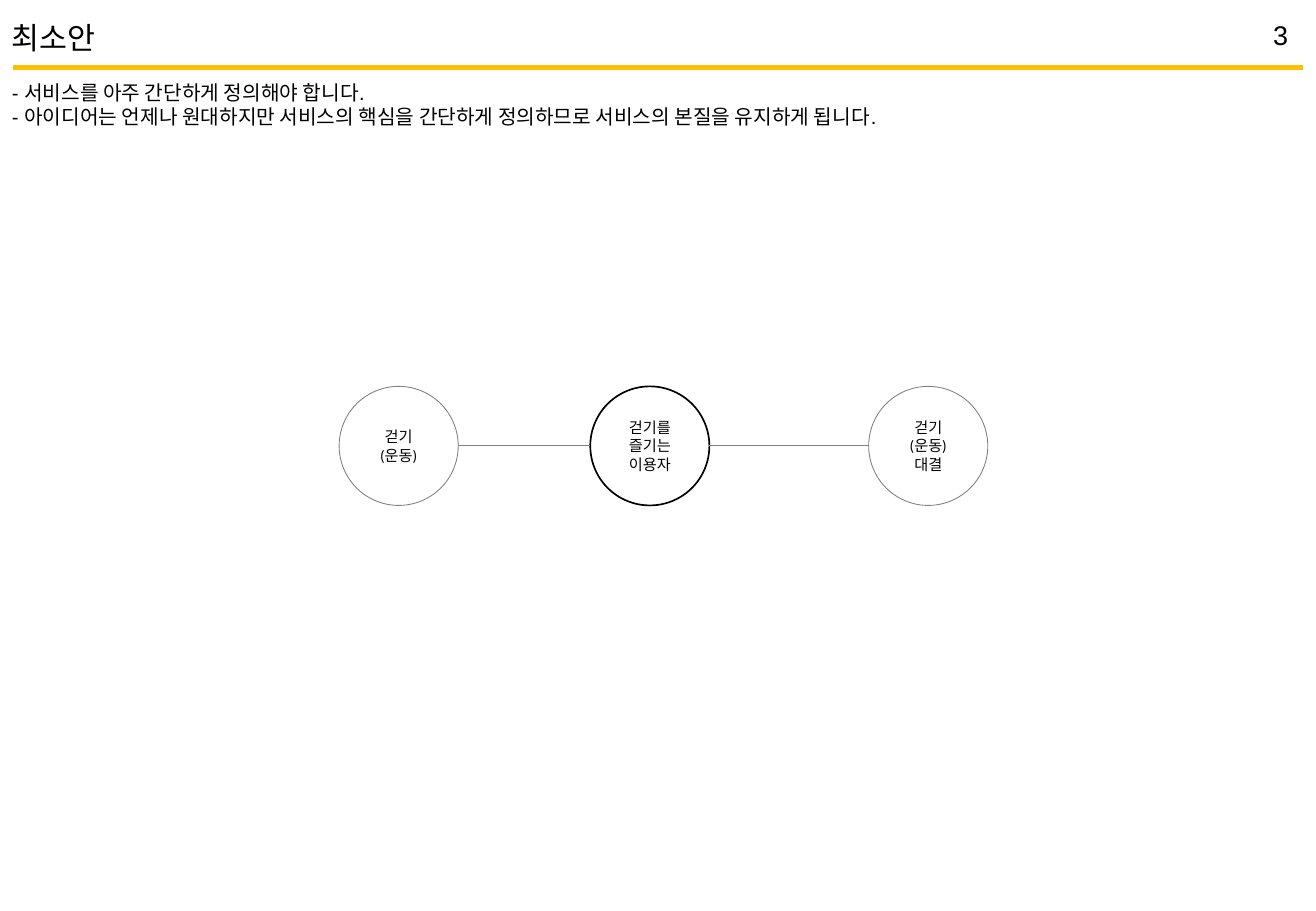
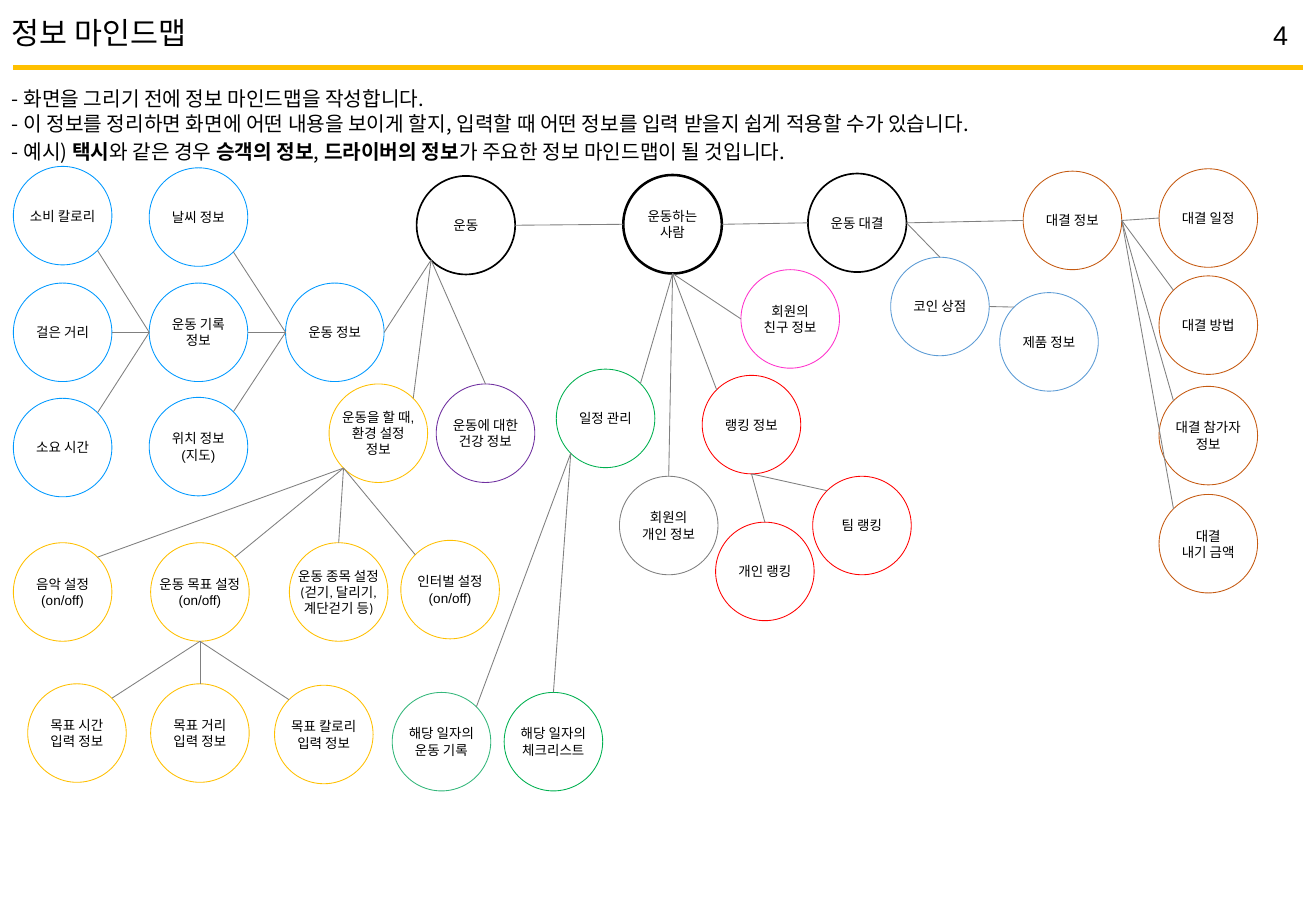
from math import sqrt

from lxml import etree
from pptx import Presentation
from pptx.dml.color import RGBColor
from pptx.enum.shapes import MSO_CONNECTOR, MSO_SHAPE
from pptx.enum.text import MSO_ANCHOR, MSO_AUTO_SIZE, PP_ALIGN
from pptx.oxml.ns import qn
from pptx.util import Cm, Pt

LEFT, CENTER, RIGHT = PP_ALIGN.LEFT, PP_ALIGN.CENTER, PP_ALIGN.RIGHT
TOP, MIDDLE = MSO_ANCHOR.TOP, MSO_ANCHOR.MIDDLE
NO_FIT = MSO_AUTO_SIZE.NONE
OVAL, STRAIGHT = MSO_SHAPE.OVAL, MSO_CONNECTOR.STRAIGHT


class Theme:
    width, height = 27.51, 19.05
    latin, alt, hangul = "Arial", "Calibri", "Noto Sans CJK KR"
    ink, paper, band, link = "000000", "FFFFFF", "FFC000", "808080"
    title, page, body = 18, 16, 12
    leading = 1.2
    # Circle styles: outline colour, outline width, Latin font
    ring = {
        "core": (ink, 1.5, alt),
        "main": (ink, 1, alt),
        "user": (ink, 1, latin),
        "grey": (link, 0.5, alt),
        "gold": (band, 0.5, latin),
        "kind": (band, 0.5, alt),
        "blue": ("0099FF", 0.5, latin),
        "plum": ("7030A0", 0.5, latin),
        "green": ("00B050", 0.5, latin),
        "mint": ("34B77B", 0.5, latin),
        "red": ("FF0000", 0.5, alt),
        "pink": ("FF33CC", 0.5, alt),
        "rust": ("C55A11", 0.5, alt),
        "sky": ("5B9BD5", 0.5, alt),
    }


# Points on a circle, in radii from its centre
DIAG = 1 / sqrt(2)
SITES = {
    "T": (0, -1), "B": (0, 1), "L": (-1, 0), "R": (1, 0),
    "TL": (-DIAG, -DIAG), "TR": (DIAG, -DIAG),
    "BL": (-DIAG, DIAG), "BR": (DIAG, DIAG),
}


def rgb(code):
    return RGBColor.from_string(code)


def place(box):
    return [Cm(part) for part in box]


def add_run(para, text, size, font=Theme.latin, bold=False):
    run = para.add_run()
    run.text = text
    run.font.size, run.font.name, run.font.bold = Pt(size), font, bold
    run.font.color.rgb = rgb(Theme.ink)
    east = etree.SubElement(run.font._element, qn("a:ea"))
    east.set("typeface", Theme.hangul)


def set_frame(shape, align, anchor, wrap=False, side=0.25):
    frame = shape.text_frame
    frame.auto_size, frame.word_wrap = NO_FIT, wrap
    frame.vertical_anchor = anchor
    frame.margin_left = frame.margin_right = Cm(side)
    frame.margin_top = frame.margin_bottom = 0
    frame.paragraphs[0].alignment = align
    return frame


def add_line(slide, start, end, color, width):
    line = slide.shapes.add_connector(STRAIGHT, *place(start), *place(end))
    line.line.color.rgb, line.line.width = rgb(color), Pt(width)
    etree.SubElement(line._element.spPr, qn("a:effectLst"))


# Title, band and page number
def add_head(deck, title, page, top):
    slide = deck.slides.add_slide(deck.slide_layouts[5])
    name = slide.shapes.title
    name.left, name.top, name.width, name.height = place((0, top, 20, 1.2))
    frame = set_frame(name, LEFT, MIDDLE)
    add_run(frame.paragraphs[0], title, Theme.title, Theme.hangul)
    add_line(slide, (0.28, 1.42), (27.23, 1.42), Theme.band, 3)
    mark = slide.shapes.add_textbox(*place((25.17, 0.27, 2.01, 0.91)))
    frame = set_frame(mark, RIGHT, MIDDLE, wrap=True)
    add_run(frame.paragraphs[0], str(page), Theme.page)
    return slide


# Notes under the band: each is (space before, font, runs)
def add_notes(slide, box, notes):
    frame = set_frame(slide.shapes.add_textbox(*place(box)), LEFT, TOP)
    for row, (gap, font, runs) in enumerate(notes):
        para = frame.add_paragraph() if row else frame.paragraphs[0]
        para.alignment, para.space_before = LEFT, Pt(gap)
        para.line_spacing = Pt(Theme.body * Theme.leading)
        for text, bold in runs:
            add_run(para, text, Theme.body, font, bold)


def add_node(slide, box, style, text, size):
    color, width, font = Theme.ring[style]
    node = slide.shapes.add_shape(OVAL, *place(box))
    node.shadow.inherit = False
    node.fill.solid()
    node.fill.fore_color.rgb = rgb(Theme.paper)
    node.line.color.rgb, node.line.width = rgb(color), Pt(width)
    para = set_frame(node, CENTER, MIDDLE, side=0).paragraphs[0]
    para.line_spacing = Pt(size * Theme.leading)
    for row, part in enumerate(text.split("\n")):
        if row:
            para.add_line_break()
        add_run(para, part, size, font)


# Circles joined by lines, placed from the given corner
def add_web(slide, corner, nodes, links, span, size):
    left, top = corner
    for style, x, y, text in nodes.values():
        add_node(slide, (left + x, top + y, span, span), style, text, size)

    def point(name, site):
        _, x, y, _ = nodes[name]
        dx, dy = SITES[site]
        return (left + x + span / 2 * (1 + dx), top + y + span / 2 * (1 + dy))

    for (name, site), ends in links.items():
        for end in ends.items():
            add_line(slide, point(name, site), point(*end), Theme.link, 0.5)


CORE_NOTES = [
    (0, Theme.latin, [("- 서비스를 아주 간단하게 정의해야 합니다.", False)]),
    (0, Theme.latin, [("- 아이디어는 언제나 원대하지만 서비스의 핵심을 간단하게 "
                       "정의하므로 서비스의 본질을 유지하게 됩니다.", False)]),
]
CORE_NODES = {
    "walk": ("grey", 0, 0, "걷기\n(운동)"),
    "user": ("user", 5.25, 0, "걷기를\n즐기는\n이용자"),
    "match": ("grey", 11.07, 0, "걷기\n(운동)\n대결"),
}
CORE_LINKS = {("user", "L"): {"walk": "R"}, ("user", "R"): {"match": "L"}}

MAP_NOTES = [
    (0, Theme.hangul, [("- 화면을 그리기 전에 정보 마인드맵을 작성합니다.", False)]),
    (0, Theme.hangul, [("- 이 정보를 정리하면 화면에 어떤 내용을 보이게 할지, 입력할 때 "
                        "어떤 정보를 입력 받을지 쉽게 적용할 수가 있습니다.", False)]),
    (2.4, Theme.hangul, [
        ("- 예시) ", False), ("택시", True), ("와 같은 경우 ", False),
        ("승객의 정보", True), (", ", False), ("드라이버의 정보", True),
        ("가 주요한 정보 마인드맵이 될 것입니다.", False)]),
]
MAP_NODES = {
    # Main row
    "sport": ("main", 8.43, 0.2, "운동"),
    "person": ("core", 12.75, 0.18, "운동하는\n사람"),
    "match": ("main", 16.61, 0.15, "운동 대결"),
    # Exercise records
    "burn": ("blue", 0, 0, "소비 칼로리"),
    "walked": ("blue", 0, 2.44, "걸은 거리"),
    "spent": ("blue", 0, 4.85, "소요 시간"),
    "sky": ("blue", 2.84, 0.03, "날씨 정보"),
    "record": ("blue", 2.84, 2.44, "운동 기록\n정보"),
    "place": ("blue", 2.84, 4.83, "위치 정보\n(지도)"),
    "info": ("blue", 5.69, 2.44, "운동 정보"),
    # Settings and goals
    "setup": ("gold", 6.6, 4.55, "운동을 할 때,\n환경 설정\n정보"),
    "music": ("gold", 0, 7.87, "음악 설정\n(on/off)"),
    "goal": ("gold", 2.87, 7.87, "운동 목표 설정\n(on/off)"),
    "kind": ("kind", 5.77, 7.87, "운동 종목 설정\n(걷기, 달리기,\n계단걷기 등)"),
    "pace": ("gold", 8.1, 7.82, "인터벌 설정\n(on/off)"),
    "time": ("gold", 0.3, 10.82, "목표 시간\n입력 정보"),
    "range": ("gold", 2.87, 10.82, "목표 거리\n입력 정보"),
    "diet": ("gold", 5.46, 10.85, "목표 칼로리\n입력 정보"),
    "health": ("plum", 8.84, 4.55, "운동에 대한\n건강 정보"),
    # Person
    "plan": ("green", 11.35, 4.24, "일정 관리"),
    "log": ("mint", 7.92, 11, "해당 일자의\n운동 기록"),
    "check": ("green", 10.26, 11, "해당 일자의\n체크리스트"),
    "self": ("grey", 12.67, 6.48, "회원의\n개인 정보"),
    "friend": ("pink", 15.21, 2.16, "회원의\n친구 정보"),
    "rank": ("red", 14.4, 4.37, "랭킹 정보"),
    "solo": ("red", 14.68, 7.44, "개인 랭킹"),
    "team": ("red", 16.71, 6.48, "팀 랭킹"),
    # Match
    "shop": ("sky", 18.34, 1.9, "코인 상점"),
    "goods": ("sky", 20.62, 2.64, "제품 정보"),
    "game": ("rust", 21.11, 0.1, "대결 정보"),
    "date": ("rust", 23.95, 0.05, "대결 일정"),
    "rule": ("rust", 23.95, 2.29, "대결 방법"),
    "guest": ("rust", 23.95, 4.6, "대결 참가자\n정보"),
    "stake": ("rust", 23.95, 6.86, "대결\n내기 금액"),
}
MAP_LINKS = {
    ("person", "L"): {"sport": "R"},
    ("person", "R"): {"match": "L"},
    ("person", "B"): {"self": "T", "rank": "TL", "plan": "TR", "friend": "L"},
    ("sport", "BL"): {"info": "R", "setup": "TR", "health": "T"},
    ("info", "L"): {"record": "R", "sky": "BR", "place": "TR"},
    ("record", "L"): {"walked": "R", "burn": "BR", "spent": "TR"},
    ("setup", "BL"): {"music": "TR", "goal": "TR", "kind": "T", "pace": "TL"},
    ("goal", "B"): {"time": "TR", "range": "T", "diet": "TL"},
    ("plan", "BL"): {"log": "TR", "check": "T"},
    ("rank", "B"): {"solo": "T", "team": "TL"},
    ("match", "R"): {"game": "L", "shop": "T"},
    ("game", "R"): {"date": "L", "rule": "TL", "guest": "TL", "stake": "TL"},
    ("shop", "R"): {"goods": "TL"},
}

deck = Presentation()
deck.slide_width, deck.slide_height = Cm(Theme.width), Cm(Theme.height)

# Smallest version of the service
slide = add_head(deck, "최소안", 3, 0.18)
add_notes(slide, (0, 1.67, 25.86, 1.1), CORE_NOTES)
add_web(slide, (7.09, 8.08), CORE_NODES, CORE_LINKS, 2.49, 9)

# Mind map
slide = add_head(deck, "정보 마인드맵", 4, 0.08)
add_notes(slide, (0, 1.81, 25.86, 1.64), MAP_NOTES)
add_web(slide, (0.28, 3.48), MAP_NODES, MAP_LINKS, 2.06, 8)

deck.save("out.pptx")
